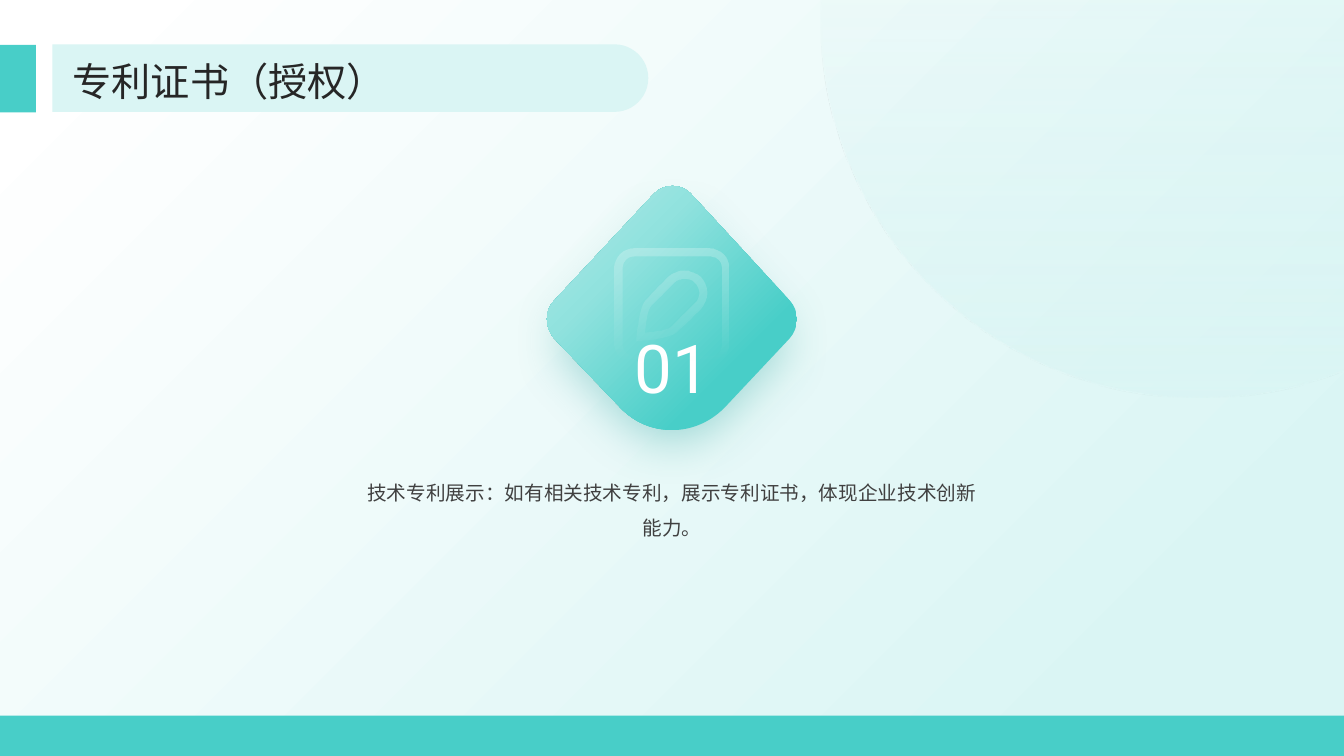
from lxml import etree
from pptx import Presentation
from pptx import util as u
from pptx.dml.color import RGBColor
from pptx.enum import shapes, text
from pptx.oxml import parse_xml
from pptx.oxml.ns import nsdecls, qn

TEAL = RGBColor(0x48, 0xCE, 0xC8)
TEAL_MID = RGBColor(0x91, 0xE2, 0xDE)
TEAL_LIGHT = RGBColor(0xB6, 0xEB, 0xE9)
MINT = RGBColor(0xDA, 0xF5, 0xF4)
SHADOW = RGBColor(0x2C, 0xA4, 0x9F)
WHITE = RGBColor(0xFF, 0xFF, 0xFF)
INK = RGBColor(0x26, 0x26, 0x26)
GREY = RGBColor(0x40, 0x40, 0x40)
CJK = "Noto Sans CJK SC"

# A contour is its start point, then points (lines) or six numbers (Bézier curves).
DIAMOND = [
    (0.1, 1.16), (1.09, 0.1, 1.09, 0.1, 1.09, 0.1), (1.19, 0, 1.35, 0, 1.45, 0.1),
    (2.43, 1.16, 2.43, 1.16, 2.43, 1.16), (2.53, 1.26, 2.53, 1.43, 2.43, 1.54),
    (1.81, 2.2, 1.81, 2.2, 1.81, 2.2), (1.51, 2.53, 1.02, 2.53, 0.73, 2.2),
    (0.1, 1.54, 0.1, 1.54, 0.1, 1.54), (0, 1.43, 0, 1.26, 0.1, 1.16),
]
PENCIL_INNER = [
    (0.69, 0.3), (0.65, 0.3, 0.62, 0.31, 0.59, 0.34), (0.37, 0.56),
    (0.33, 0.59, 0.31, 0.71, 0.3, 0.83), (0.42, 0.82, 0.54, 0.8, 0.57, 0.76),
    (0.79, 0.54), (0.85, 0.49, 0.85, 0.39, 0.79, 0.34),
    (0.77, 0.31, 0.73, 0.3, 0.69, 0.3),
]
PENCIL_OUTER = [
    (0.69, 0.22), (0.75, 0.22, 0.8, 0.24, 0.85, 0.28),
    (0.93, 0.37, 0.93, 0.51, 0.85, 0.6), (0.62, 0.82),
    (0.54, 0.9, 0.22, 0.91, 0.22, 0.91), (0.22, 0.91, 0.23, 0.59, 0.31, 0.51),
    (0.53, 0.28), (0.58, 0.24, 0.63, 0.22, 0.69, 0.22),
]


def rounded_square(a, b, r):
    """Contour of a rounded square from (a, a) to (b, b)."""
    k = r * 0.45
    return [
        (a + r, a), (b - r, a), (b - k, a, b, a + k, b, a + r),
        (b, b - r), (b, b - k, b - k, b, b - r, b),
        (a + r, b), (a + k, b, a, b - k, a, b - r),
        (a, a + r), (a, a + k, a + k, a, a + r, a),
    ]


def add_outline(s, left, top, contours):
    """Draw contours as one freeform, joining each curve's three points into a Bézier."""
    fb = None
    for contour in contours:
        points = [(u.Inches(left + x), u.Inches(top + y))
                  for seg in contour for x, y in zip(seg[::2], seg[1::2])]
        if fb is None:
            fb = s.shapes.build_freeform(*points[0])
        else:
            fb.move_to(*points[0])
        fb.add_line_segments(points[1:])
    sp = fb.convert_to_shape()
    lines = iter(list(sp._element.iter(qn("a:lnTo"))))
    for contour in contours:
        for seg in contour[1:]:
            first = next(lines)
            if len(seg) == 6:
                curve = etree.Element(qn("a:cubicBezTo"))
                first.addprevious(curve)
                for line in (first, next(lines), next(lines)):
                    curve.append(line[0])
                    line.getparent().remove(line)
    sp.line.fill.background()
    sp.shadow.inherit = False
    return sp


def add_block(s, kind, left, top, width, height, color=None, rotation=0):
    sp = s.shapes.add_shape(kind, *map(u.Inches, (left, top, width, height)))
    sp.rotation = rotation
    sp.line.fill.background()
    sp.shadow.inherit = False
    if color is not None:
        sp.fill.solid()
        sp.fill.fore_color.rgb = color
    return sp


def set_gradient(sp, stops, angle=None):
    """Fill with (percent, colour, opacity) stops; without an angle, radiate from top left."""
    gs = "".join(
        f'<a:gs pos="{pos * 1000}"><a:srgbClr val="{color}">'
        f'<a:alpha val="{alpha * 1000}"/></a:srgbClr></a:gs>'
        for pos, color, alpha in stops)
    if angle is None:
        way = '<a:path path="circle"><a:fillToRect r="100000" b="100000"/></a:path>'
    else:
        way = f'<a:lin ang="{angle * 60000}" scaled="0"/>'
    grad = parse_xml(f'<a:gradFill {nsdecls("a")} rotWithShape="1">'
                     f'<a:gsLst>{gs}</a:gsLst>{way}</a:gradFill>')
    sp.fill.background()
    old = sp._element.spPr.find(qn("a:noFill"))
    old.getparent().replace(old, grad)


def set_shadow(sp, color, alpha, blur, distance, scale):
    effects = sp._element.spPr.find(qn("a:effectLst"))
    effects.append(parse_xml(
        f'<a:outerShdw {nsdecls("a")} blurRad="{u.Pt(blur)}" dist="{u.Pt(distance)}" '
        f'dir="5400000" sx="{scale * 1000}" sy="{scale * 1000}" algn="t" rotWithShape="0">'
        f'<a:srgbClr val="{color}"><a:alpha val="{alpha * 1000}"/></a:srgbClr></a:outerShdw>'))


def write(sp, words, size, font, color, align, spacing, inset=True):
    tf = sp.text_frame
    tf.word_wrap = True
    tf.auto_size = text.MSO_AUTO_SIZE.NONE
    if not inset:
        tf.margin_left = tf.margin_right = tf.margin_top = tf.margin_bottom = 0
    p = tf.paragraphs[0]
    p.text = words
    p.alignment = align
    p.line_spacing = spacing
    p.font.size = u.Pt(size)
    p.font.name = font
    p.font.color.rgb = color
    latin = p.font._rPr.find(qn("a:latin"))
    latin.addnext(etree.Element(qn("a:ea"), typeface=font))


def add_text(s, left, top, width, height, *args, **kwargs):
    sp = s.shapes.add_textbox(*map(u.Inches, (left, top, width, height)))
    write(sp, *args, **kwargs)


def add_backdrop(s, width, height):
    kind = shapes.MSO_SHAPE
    wash = add_block(s, kind.RECTANGLE, 0, 0, width, height, rotation=180)
    set_gradient(wash, [(14, MINT, 100), (95, WHITE, 100)], 45)
    disc = add_block(s, kind.OVAL, 8.14, -3.59, 7.53, 7.53, rotation=45)
    set_gradient(disc, [(40, MINT, 0), (100, MINT, 100)], 45)
    add_block(s, kind.RECTANGLE, -0.07, height - 0.4, width + 0.15, 0.4, TEAL)


def add_badge(s, left, top, number):
    diamond = add_outline(s, left, top, [DIAMOND])
    set_gradient(diamond, [(0, TEAL_LIGHT, 100), (31, TEAL_MID, 100), (73, TEAL, 100)])
    set_shadow(diamond, SHADOW, alpha=40, blur=35, distance=25, scale=90)
    add_text(s, left + 0.24, top + 1.21, 2.05, 1.02, number, 48, "Roboto", WHITE,
             text.PP_ALIGN.CENTER, 1.2)
    icon = add_outline(s, left + 0.7, top + 0.65, [
        PENCIL_INNER, PENCIL_OUTER,
        rounded_square(0.08, 1.06, 0.11), rounded_square(0, 1.13, 0.19)])
    set_gradient(icon, [(0, WHITE, 25), (100, WHITE, 0)], 90)


def add_header(s, top, words):
    kind = shapes.MSO_SHAPE
    add_block(s, kind.RECTANGLE, -0.16, top + 0.16, 0.67, 0.36, TEAL, 90)
    pill = add_block(s, kind.ROUND_2_SAME_RECTANGLE, 3.14, top - 2.62, 0.67, 5.91, MINT, 90)
    pill.adjustments[0] = 0.5
    pill.adjustments[1] = 0
    title = s.shapes.title
    title.left, title.top, title.width, title.height = map(
        u.Inches, (0.72, top + 0.08, 11.88, 0.51))
    write(title, words, 28, CJK, INK, text.PP_ALIGN.LEFT, 1.1, inset=False)
    title.text_frame.vertical_anchor = text.MSO_ANCHOR.MIDDLE
    s.shapes._spTree.append(title._element)


def main():
    prs = Presentation()
    prs.slide_width, prs.slide_height = u.Inches(13.33), u.Inches(7.5)
    s = prs.slides.add_slide(prs.slide_layouts[5])
    add_backdrop(s, 13.33, 7.5)
    add_badge(s, 5.4, 1.82, "01")
    add_text(s, 3.59, 4.65, 6.15, 1.61,
             "技术专利展示：如有相关技术专利，展示专利证书，体现企业技术创新能力。",
             14, CJK, GREY, text.PP_ALIGN.CENTER, 1.5, inset=False)
    add_header(s, 0.44, "专利证书（授权）")
    prs.save("out.pptx")


if __name__ == "__main__":
    main()
